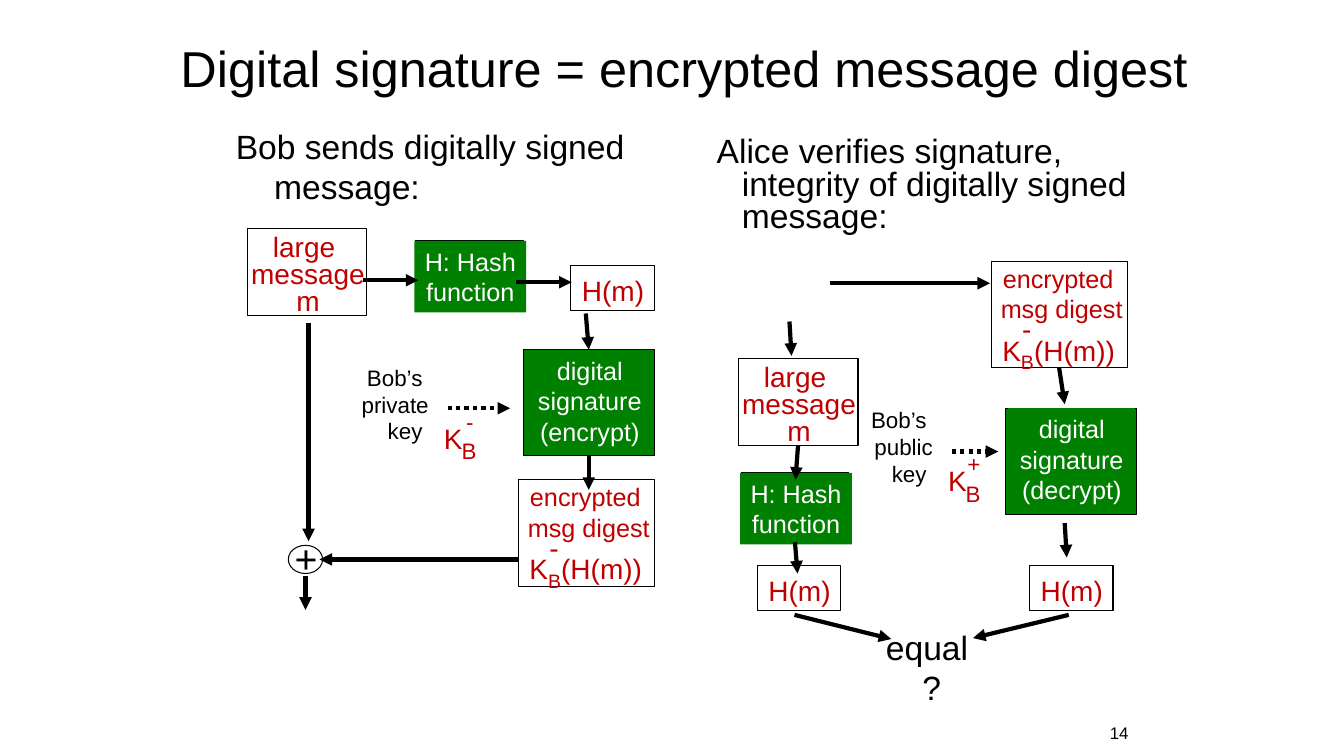
from lxml import etree
from pptx import Presentation
from pptx.dml.color import RGBColor
from pptx.enum.dml import MSO_LINE
from pptx.enum.shapes import MSO_CONNECTOR, MSO_SHAPE
from pptx.enum.text import MSO_ANCHOR, PP_ALIGN
from pptx.oxml.ns import qn
from pptx.util import Inches, Pt

RECT, OVAL = MSO_SHAPE.RECTANGLE, MSO_SHAPE.OVAL
LEFT, CENTER, RIGHT = PP_ALIGN.LEFT, PP_ALIGN.CENTER, PP_ALIGN.RIGHT
TOP, MIDDLE = MSO_ANCHOR.TOP, MSO_ANCHOR.MIDDLE
STRAIGHT, DOTTED = MSO_CONNECTOR.STRAIGHT, MSO_LINE.ROUND_DOT
SIDE_TOP, SIDE_BOTTOM = 0, 2
FONT = "Arial"
BLACK, WHITE, RED, GREEN = "000000", "FFFFFF", "C00000", "008000"


def rgb(value):
    """Turn a hex string into a colour."""
    return RGBColor.from_string(value)


def write(sp, text, size=20, color=BLACK, align=CENTER, spacing=None,
          wrap=True, anchor=TOP, hang=0):
    """Write text into a shape, one paragraph per line."""
    tf = sp.text_frame
    tf.word_wrap = wrap
    tf.vertical_anchor = anchor
    for i, line in enumerate(text.split("\n")):
        p = tf.paragraphs[0] if i == 0 else tf.add_paragraph()
        p.alignment = align
        if spacing:
            p.line_spacing = spacing
        if hang:
            pPr = p._p.get_or_add_pPr()
            pPr.set("marL", str(Inches(hang)))
            pPr.set("indent", str(-Inches(hang)))
        add_run(p, line, size, color)
    return sp


def add_run(p, text, size, color, baseline=0):
    """Append one formatted run to a paragraph."""
    r = p.add_run()
    r.text = text
    r.font.name = FONT
    r.font.size = Pt(size)
    r.font.color.rgb = rgb(color)
    if baseline:
        r._r.get_or_add_rPr().set("baseline", str(baseline * 1000))


def label(s, x, y, w, h, text, **fmt):
    """Add a text box."""
    sp = s.shapes.add_textbox(Inches(x), Inches(y), Inches(w), Inches(h))
    return write(sp, text, **fmt)


def box(s, x, y, w, h, fill=None, outline=True, kind=RECT):
    """Add a plain shape with an optional fill and thin black outline."""
    sp = s.shapes.add_shape(kind, Inches(x), Inches(y), Inches(w), Inches(h))
    sp.shadow.inherit = False
    if fill:
        sp.fill.solid()
        sp.fill.fore_color.rgb = rgb(fill)
    else:
        sp.fill.background()
    if outline:
        sp.line.color.rgb = rgb(BLACK)
        sp.line.width = Pt(0.75)
    else:
        sp.line.fill.background()
    return sp


def arrow(s, x1, y1, x2, y2, dash=None, begin=None, end=None):
    """Add a thick arrow, joined to box sides where given."""
    c = s.shapes.add_connector(STRAIGHT, Inches(x1), Inches(y1),
                               Inches(x2), Inches(y2))
    if begin:
        c.begin_connect(begin, SIDE_BOTTOM)
    if end:
        c.end_connect(end, SIDE_TOP)
    c.line.color.rgb = rgb(BLACK)
    c.line.width = Pt(3)
    if dash:
        c.line.dash_style = dash
    etree.SubElement(c.line._get_or_add_ln(), qn("a:tailEnd"), type="triangle")
    etree.SubElement(c._element.spPr, qn("a:effectLst"))


def large_message(s, x, y):
    """Add the box of the message m."""
    sp = box(s, x, y, 1.19, 0.86, WHITE)
    label(s, x - 0.13, y + 0.02, 1.47, 0.92, "large \nmessage\nm",
          color=RED, spacing=0.8)
    return sp


def green_box(s, x, y, w, h, text, text_w):
    """Add a green step with its caption panel on top."""
    sp = box(s, x, y, w, h, GREEN)
    text_h = 0.11 + 0.3 * len(text.split("\n"))
    panel = box(s, x + (w - text_w) / 2 + 0.01, y, text_w, text_h, GREEN, False)
    write(panel, text, size=18, color=WHITE, wrap=False, anchor=MIDDLE)
    return sp


def hash_function(s, x, y):
    """Add the hash step."""
    return green_box(s, x, y, 1.07, 0.69, "H: Hash\nfunction", 1.11)


def signature(s, x, y, action):
    """Add the digital signature step."""
    return green_box(s, x, y, 1.3, 1.05, f"digital\nsignature\n({action})", 1.26)


def digest(s, x, y):
    """Add the box of the digest H(m)."""
    box(s, x, y, 0.83, 0.45, WHITE)
    label(s, x - 0.05, y + 0.03, 0.94, 0.43, "H(m)", color=RED)


def encrypted_digest(s, x, y):
    """Add the box of the digest encrypted with the private key."""
    sp = box(s, x, y, 1.35, 1.06)
    formula = label(s, x - 0.13, y + 0.61, 1.6, 0.43, "K", color=RED)
    p = formula.text_frame.paragraphs[0]
    add_run(p, "B", 24, RED, baseline=-25)
    add_run(p, "(H(m))", 20, RED)
    label(s, x - 0.11, y + 0.45, 0.93, 0.43, "-", color=RED)
    label(s, x - 0.24, y - 0.03, 1.88, 0.7, "encrypted \nmsg digest",
          size=18, color=RED)
    return sp


def key(s, x, y, name, sign):
    """Add the caption and symbol of one of Bob's keys."""
    label(s, x, y, 1.05, 0.9, f"Bob’s \n{name}\nkey ", size=16, align=RIGHT)
    label(s, x + 1, y + 0.57, 0.47, 0.44, "K ", color=RED, wrap=False)
    for text, dx, dy in (("B", 1.18, 0.73), (sign, 1.19, 0.44)):
        label(s, x + dx, y + dy, 0.34, 0.37, text, size=16, color=RED, wrap=False)


def sender(s):
    """Draw how Bob signs a message."""
    label(s, 2.24, 1.2, 4.17, 1.23, "Bob sends digitally signed message:",
          size=24, align=LEFT, hang=0.38)
    large_message(s, 2.45, 2.27)
    hash_function(s, 4.12, 2.39)
    digest(s, 5.66, 2.63)
    encrypt = signature(s, 5.19, 3.47, "encrypt")
    encrypted_digest(s, 5.14, 4.76)
    key(s, 3.3, 3.56, "private", "-")
    label(s, 2.57, 5.25, 0.93, 0.57, "+", size=28)
    box(s, 2.86, 5.41, 0.34, 0.28, kind=OVAL)
    arrow(s, 3.6, 2.78, 4.15, 2.78)
    arrow(s, 5.12, 2.8, 5.67, 2.8)
    arrow(s, 5.81, 3.11, 5.81, 3.47, end=encrypt)
    arrow(s, 4.44, 4.05, 5.06, 4.05, dash=DOTTED)
    arrow(s, 5.84, 4.52, 5.84, 4.86, begin=encrypt)
    arrow(s, 5.14, 5.55, 3.17, 5.55)
    arrow(s, 3.06, 3.2, 3.06, 5.37)
    arrow(s, 3.03, 5.71, 3.03, 6.05)


def receiver(s):
    """Draw how Alice verifies the signature."""
    label(s, 7.01, 1.32, 4.64, 1.16,
          "Alice verifies signature, integrity of digitally signed message:",
          size=24, align=LEFT, spacing=0.8, hang=0.25)
    message = large_message(s, 7.32, 3.56)
    hashing = hash_function(s, 7.35, 4.69)
    digest(s, 7.51, 5.61)
    encrypted = encrypted_digest(s, 9.83, 2.59)
    signature(s, 9.97, 4.05, "decrypt")
    digest(s, 10.21, 5.61)
    key(s, 8.3, 3.98, "public", "+")
    label(s, 8.41, 6.17, 1.57, 0.91, "equal\n ?", size=24)
    arrow(s, 8.23, 2.81, 9.82, 2.81)
    arrow(s, 7.83, 3.19, 7.85, 3.53)
    arrow(s, 7.88, 4.42, 7.89, 4.76, begin=message)
    arrow(s, 7.89, 5.38, 7.91, 5.69, begin=hashing)
    arrow(s, 10.54, 3.65, 10.56, 4.01, begin=encrypted)
    arrow(s, 9.44, 4.48, 9.9, 4.48, dash=DOTTED)
    arrow(s, 10.56, 5.19, 10.58, 5.53)
    arrow(s, 7.88, 6.1, 8.84, 6.34)
    arrow(s, 10.6, 6.1, 9.65, 6.33)


def main():
    """Build the slide and save it."""
    prs = Presentation()
    prs.slide_width, prs.slide_height = Inches(13.33), Inches(7.5)
    s = prs.slides.add_slide(prs.slide_layouts[5])
    title = s.shapes.title
    title.left, title.top = Inches(1.69), Inches(0.04)
    title.width, title.height = Inches(10.48), Inches(1.25)
    write(title, "Digital signature = encrypted message digest",
          size=36, align=LEFT, anchor=MIDDLE)
    sender(s)
    receiver(s)
    label(s, 10.91, 7.12, 0.75, 0.3, "14", size=12, align=LEFT)
    prs.save("out.pptx")


if __name__ == "__main__":
    main()
